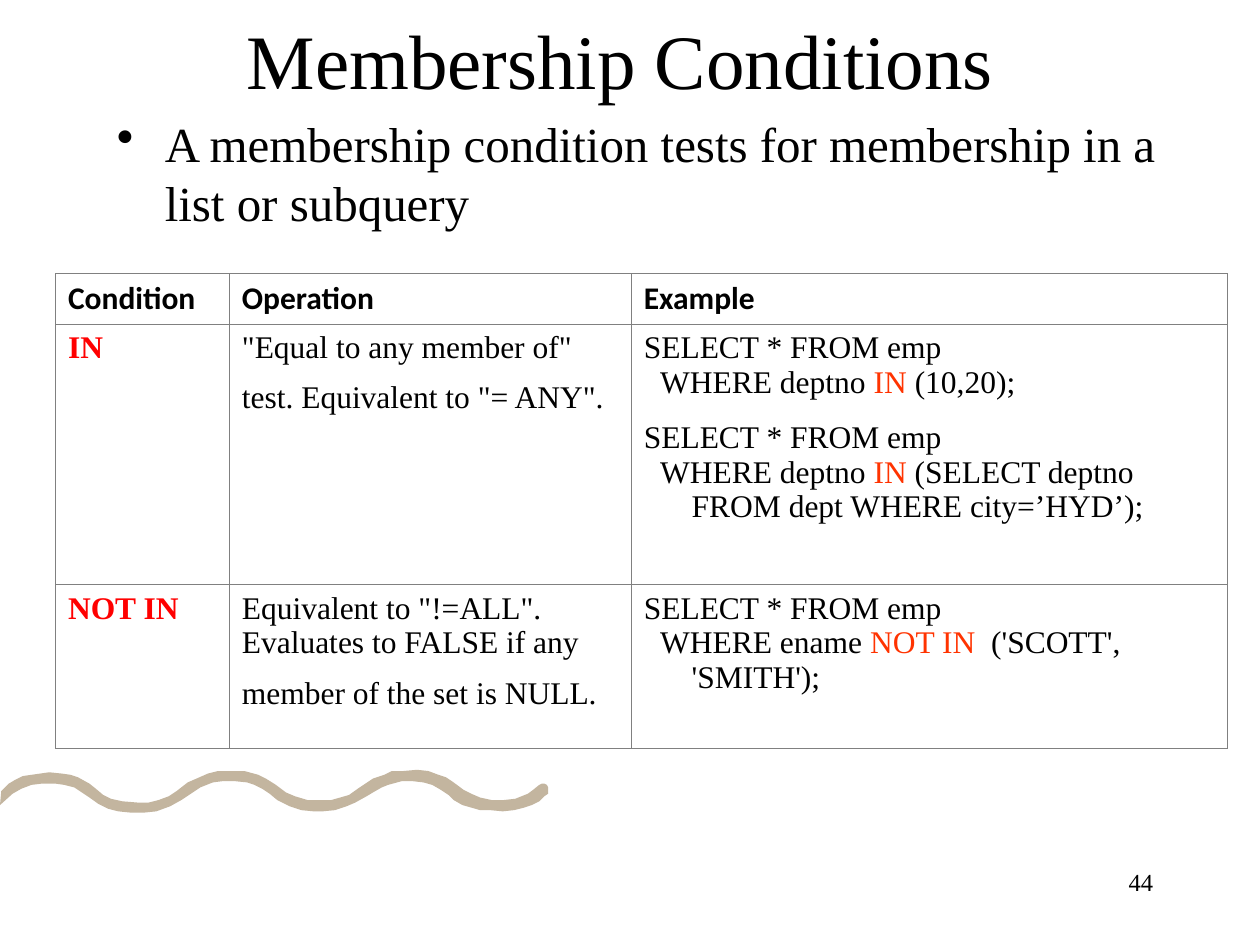
"""Build the slide on membership conditions."""
import dataclasses
import itertools
import typing

import lxml.etree
import pptx
import pptx.dml.color
import pptx.enum.text
import pptx.oxml.ns
import pptx.util

SCALE = 9144
BLACK, RED, ORANGE, GREY, SAND = "000000", "FF0000", "FF3300", "808080", "C3B59F"
SERIF, SANS = "Times New Roman", "Calibri"
ALIGN = pptx.enum.text.PP_ALIGN
ANCHOR = pptx.enum.text.MSO_ANCHOR


@dataclasses.dataclass
class Run:
    text: str
    color: str = BLACK
    size: int = 18
    bold: bool = False
    font: str = SERIF


@dataclasses.dataclass
class Para:
    runs: list[Run]
    left: int = 0
    hang: int = 0
    before: float = 0
    align: typing.Any = ALIGN.LEFT
    bullet: str = ""


@dataclasses.dataclass
class Box:
    left: int
    top: int
    width: int
    height: int
    para: Para
    anchor: typing.Any = ANCHOR.TOP


def px(count: int) -> int:
    return count * SCALE


def rgb(code: str) -> pptx.dml.color.RGBColor:
    return pptx.dml.color.RGBColor.from_string(code)


def add_tag(parent, name: str, **attrs: str):
    tag = lxml.etree.SubElement(parent, pptx.oxml.ns.qn(name))
    for key, value in attrs.items():
        tag.set(key, value)
    return tag


def write(frame, paras: list[Para]) -> None:
    frame.word_wrap = True
    for index, para in enumerate(paras):
        line = frame.add_paragraph() if index else frame.paragraphs[0]
        line.alignment = para.align
        line.space_before = pptx.util.Pt(para.before)
        props = line._p.get_or_add_pPr()
        props.set("marL", str(px(para.left)))
        props.set("indent", str(px(-para.hang)))
        if para.bullet:
            add_tag(add_tag(props, "a:buClr"), "a:srgbClr", val=BLACK)
            add_tag(props, "a:buChar", char=para.bullet)
        for item in para.runs:
            run = line.add_run()
            run.text = item.text
            run.font.name = item.font
            run.font.size = pptx.util.Pt(item.size)
            run.font.bold = item.bold
            run.font.color.rgb = rgb(item.color)


def add_box(slide, box: Box) -> None:
    shape = slide.shapes.add_textbox(
        px(box.left), px(box.top), px(box.width), px(box.height))
    shape.text_frame.vertical_anchor = box.anchor
    write(shape.text_frame, [box.para])


def add_wave(slide, points: list[tuple[int, int]]) -> None:
    pen = slide.shapes.build_freeform(*points[0], scale=SCALE)
    pen.add_line_segments(points[1:], close=True)
    wave = pen.convert_to_shape()
    wave.shadow.inherit = False
    wave.fill.solid()
    wave.fill.fore_color.rgb = rgb(SAND)
    wave.line.fill.background()


def frame_cell(cell) -> None:
    props = cell._tc.get_or_add_tcPr()
    for side in ("a:lnL", "a:lnR", "a:lnT", "a:lnB"):
        edge = add_tag(props, side, w=str(pptx.util.Pt(0.45)))
        add_tag(add_tag(edge, "a:solidFill"), "a:srgbClr", val=GREY)
    cell.fill.background()


def add_grid(slide, left: int, top: int, cols: list[int], rows: list[int],
             cells: list[list[list[Para]]]) -> None:
    table = slide.shapes.add_table(
        len(rows), len(cols), px(left), px(top), px(sum(cols)), px(sum(rows))).table
    table.first_row = table.horz_banding = False
    for col, width in zip(table.columns, cols):
        col.width = px(width)
    for row, height in zip(table.rows, rows):
        row.height = px(height)
    for r, c in itertools.product(range(len(rows)), range(len(cols))):
        cell = table.cell(r, c)
        cell.margin_left = cell.margin_right = px(10)
        cell.margin_top = cell.margin_bottom = px(5)
        cell.vertical_anchor = ANCHOR.TOP if r else ANCHOR.BOTTOM
        frame_cell(cell)
        write(cell.text_frame, cells[r][c])


def head(text: str) -> list[Para]:
    return [Para([Run(text, bold=True, font=SANS)], 38, 38)]


def name(text: str) -> list[Para]:
    return [Para([Run(text, RED, bold=True)], 38, 38)]


def note(text: str) -> list[Para]:
    return [Para([Run(text), Run(" ", size=28)], before=7)]


def query(start: str, word: str, end: str, before: float = 0) -> list[Para]:
    return [Para([Run("SELECT * FROM emp")], 38, 38, before),
            Para([Run(start), Run(word, ORANGE), Run(end)], 38, 25)]


WAVE = [
    (1, 628), (7, 622), (12, 619), (18, 616), (25, 615), (32, 614), (39, 613),
    (49, 614), (56, 615), (62, 617), (71, 622), (76, 626), (82, 631), (88, 634),
    (97, 636), (109, 637), (118, 637), (126, 635), (134, 632), (140, 628),
    (149, 621), (156, 618), (165, 614), (173, 612), (181, 612), (194, 612),
    (205, 615), (211, 618), (219, 623), (227, 629), (234, 632), (244, 635),
    (253, 635), (263, 635), (270, 633), (277, 631), (284, 626), (290, 622),
    (296, 618), (305, 615), (311, 612), (320, 612), (331, 611), (340, 612),
    (348, 615), (354, 617), (360, 621), (368, 627), (374, 630), (381, 633),
    (390, 635), (400, 635), (409, 634), (419, 630), (423, 627), (428, 623),
    (430, 622), (432, 622), (434, 623), (435, 625), (435, 628), (435, 630),
    (432, 632), (428, 636), (422, 639), (416, 641), (408, 643), (399, 644),
    (389, 643), (381, 643), (374, 641), (367, 639), (360, 635), (356, 631),
    (350, 627), (343, 623), (336, 621), (327, 620), (319, 620), (308, 623),
    (303, 625), (296, 629), (291, 632), (282, 637), (275, 640), (266, 643),
    (256, 644), (249, 644), (239, 643), (230, 640), (220, 635), (214, 630),
    (208, 626), (202, 623), (196, 621), (186, 620), (177, 620), (169, 621),
    (159, 625), (153, 629), (144, 635), (135, 640), (124, 644), (114, 645),
    (104, 645), (94, 644), (86, 642), (78, 638), (71, 633), (65, 629), (59, 625),
    (51, 623), (44, 622), (33, 622), (25, 623), (17, 626), (10, 630), (0, 639),
]
BOXES = [
    Box(717, 683, 208, 50, Para([Run("44", size=14)], before=8.8, align=ALIGN.RIGHT)),
    Box(75, 0, 850, 93, Para([Run("Membership Conditions ", size=44)],
                             align=ALIGN.CENTER), ANCHOR.MIDDLE),
    Box(83, 85, 890, 108, Para(
        [Run("A membership condition tests for membership in a list or subquery",
             size=28)], 38, 38, 7, bullet="•")),
]
CELLS = [
    [head("Condition"), head("Operation"), head("Example")],
    [name("IN"),
     note('"Equal to any member of" test. Equivalent to "= ANY".'),
     query("WHERE deptno ", "IN ", "(10,20);")
     + query("WHERE deptno ", "IN",
             " (SELECT deptno FROM dept WHERE city=’HYD’);", 11.5)],
    [name("NOT IN"),
     note('Equivalent to "!=ALL". Evaluates to FALSE if any member of the set is NULL.'),
     query("WHERE ename ", "NOT IN", "  ('SCOTT', 'SMITH');")],
]


def main() -> None:
    deck = pptx.Presentation()
    deck.slide_width, deck.slide_height = px(1000), px(750)
    slide = deck.slides.add_slide(deck.slide_layouts[6])
    add_wave(slide, WAVE)
    for box in BOXES:
        add_box(slide, box)
    add_grid(slide, 44, 217, [138, 319, 473], [40, 207, 130], CELLS)
    deck.save("out.pptx")


if __name__ == "__main__":
    main()
